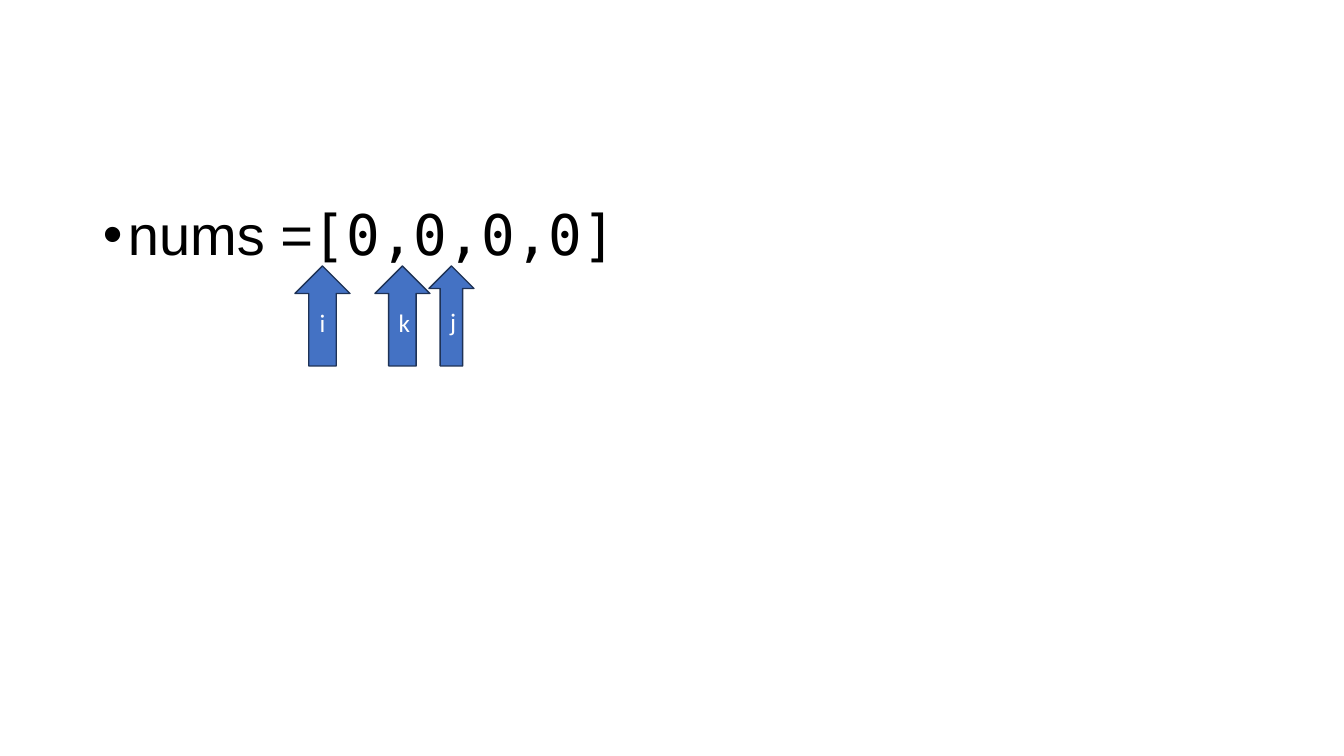
from dataclasses import dataclass

from lxml.etree import SubElement
from pptx import Presentation
from pptx.dml.color import RGBColor
from pptx.enum.shapes import MSO_SHAPE as Preset
from pptx.enum.text import MSO_ANCHOR as Anchor, PP_ALIGN as Align
from pptx.oxml.ns import qn
from pptx.slide import Slide
from pptx.util import Emu, Pt

EMU_PER_PX = 914400 / 100.8
BULLET_INDENT = 25
POINTER_TOP = 266
POINTER_HEIGHT = 100


@dataclass(frozen=True)
class Pointer:
    label: str
    left: int
    width: int


POINTERS = (
    Pointer("i", 295, 55),
    Pointer("k", 375, 55),
    Pointer("j", 429, 45),
)


def px(length: int) -> Emu:
    return Emu(round(length * EMU_PER_PX))


def colour(code: str) -> RGBColor:
    return RGBColor.from_string(code)


def add_text(paragraph, text: str, *, font: str, size: int, fill: str) -> None:
    run = paragraph.add_run()
    run.text = text
    run.font.name = font
    run.font.size = Pt(size)
    run.font.color.rgb = colour(fill)


def add_bullet(paragraph) -> None:
    properties = paragraph._p.get_or_add_pPr()
    properties.set("marL", str(px(BULLET_INDENT)))
    properties.set("indent", str(-px(BULLET_INDENT)))
    SubElement(properties, qn("a:buFont"), typeface="Arial")
    SubElement(properties, qn("a:buChar"), char="•")


def add_array(slide: Slide) -> None:
    body = slide.shapes.add_textbox(px(93), px(202), px(1159), px(480)).text_frame
    body.word_wrap = True
    array = body.paragraphs[0]
    array.line_spacing = 0.9
    array.space_before = Pt(10)
    add_bullet(array)
    add_text(array, "nums =", font="Arial", size=40, fill="000000")
    add_text(array, "[0,0,0,0]", font="DejaVu Sans Mono", size=40, fill="000000")


def add_pointer(slide: Slide, pointer: Pointer) -> None:
    arrow = slide.shapes.add_shape(
        Preset.UP_ARROW,
        px(pointer.left), px(POINTER_TOP), px(pointer.width), px(POINTER_HEIGHT),
    )
    arrow.shadow.inherit = False
    arrow.fill.solid()
    arrow.fill.fore_color.rgb = colour("4472C4")
    arrow.line.color.rgb = colour("1E3256")
    arrow.line.width = Pt(1)
    arrow.text_frame.vertical_anchor = Anchor.MIDDLE
    label = arrow.text_frame.paragraphs[0]
    label.alignment = Align.CENTER
    add_text(label, pointer.label, font="Calibri", size=18, fill="FFFFFF")


def main() -> None:
    deck = Presentation()
    deck.slide_width, deck.slide_height = px(1344), px(756)
    slide = deck.slides.add_slide(deck.slide_layouts[6])
    add_array(slide)
    for pointer in POINTERS:
        add_pointer(slide, pointer)
    deck.save("out.pptx")


if __name__ == "__main__":
    main()
